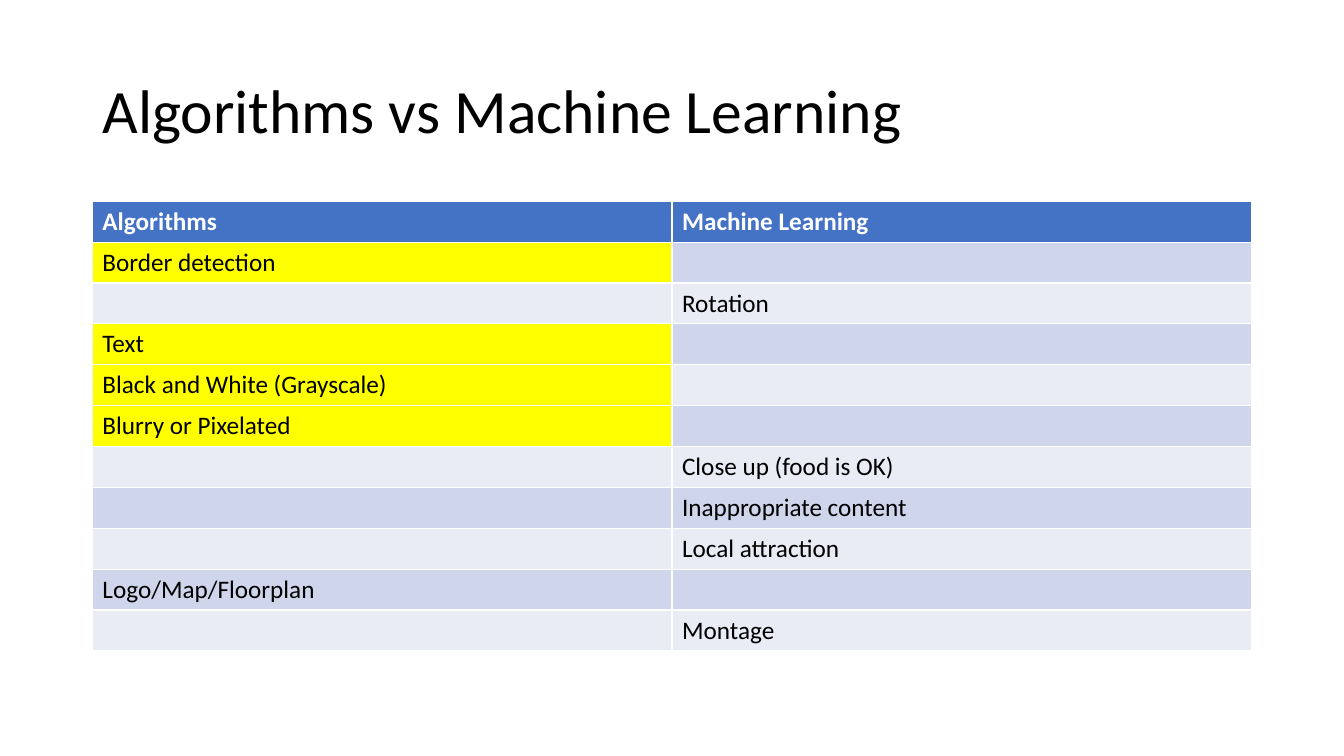
import dataclasses

import pptx
import pptx.dml.color
import pptx.enum.text
import pptx.util


@dataclasses.dataclass(frozen=True)
class Theme:
    font: str = "Calibri"
    title_size: int = 44
    table_size: int = 18
    text: str = "000000"
    header_text: str = "FFFFFF"
    header_fill: str = "4472C4"
    bands: tuple = ("CFD5EA", "E9EBF5")
    highlight: str = "FFFF00"


class SlideBuilder:
    def __init__(self, slide, theme):
        self.slide = slide
        self.theme = theme

    def format_runs(self, paragraph, size, color, bold=False):
        for run in paragraph.runs:
            run.font.name = self.theme.font
            run.font.size = pptx.util.Pt(size)
            run.font.bold = bold
            run.font.color.rgb = pptx.dml.color.RGBColor.from_string(color)

    def add_title(self, text, left, top, width, height):
        title = self.slide.shapes.title
        title.left, title.top = pptx.util.Pt(left), pptx.util.Pt(top)
        title.width, title.height = pptx.util.Pt(width), pptx.util.Pt(height)
        text_frame = title.text_frame
        text_frame.text = text
        text_frame.auto_size = pptx.enum.text.MSO_AUTO_SIZE.NONE
        text_frame.vertical_anchor = pptx.enum.text.MSO_ANCHOR.MIDDLE
        paragraph = text_frame.paragraphs[0]
        paragraph.alignment = pptx.enum.text.PP_ALIGN.LEFT
        paragraph.line_spacing = 0.9
        self.format_runs(paragraph, self.theme.title_size, self.theme.text)

    def fill_cell(self, cell, text, fill, color, bold=False):
        cell.fill.solid()
        cell.fill.fore_color.rgb = pptx.dml.color.RGBColor.from_string(fill)
        if text:
            cell.text_frame.text = text
            paragraph = cell.text_frame.paragraphs[0]
            self.format_runs(paragraph, self.theme.table_size, color, bold)

    def add_table(self, header, rows, highlighted, left, top, width, row_height):
        row_count = len(rows) + 1
        table = self.slide.shapes.add_table(
            row_count, len(header),
            pptx.util.Pt(left), pptx.util.Pt(top),
            pptx.util.Pt(width), pptx.util.Pt(row_height * row_count),
        ).table
        for row in table.rows:
            row.height = pptx.util.Pt(row_height)
        theme = self.theme
        for column, text in enumerate(header):
            self.fill_cell(table.cell(0, column), text,
                           theme.header_fill, theme.header_text, bold=True)
        for index, row in enumerate(rows):
            band = theme.bands[index % len(theme.bands)]
            for column, text in enumerate(row):
                fill = theme.highlight if text in highlighted else band
                self.fill_cell(table.cell(index + 1, column), text, fill, theme.text)


HEADER = ("Algorithms", "Machine Learning")
TOPICS = (
    ("Border detection", ""),
    ("", "Rotation"),
    ("Text", ""),
    ("Black and White (Grayscale)", ""),
    ("Blurry or Pixelated", ""),
    ("", "Close up (food is OK)"),
    ("", "Inappropriate content"),
    ("", "Local attraction"),
    ("Logo/Map/Floorplan", ""),
    ("", "Montage"),
)
HIGHLIGHTED = {
    "Border detection", "Text", "Black and White (Grayscale)", "Blurry or Pixelated",
}


def main():
    presentation = pptx.Presentation()
    presentation.slide_width = pptx.util.Pt(960)
    presentation.slide_height = pptx.util.Pt(540)
    slide = presentation.slides.add_slide(presentation.slide_layouts[5])
    builder = SlideBuilder(slide, Theme())
    builder.add_title("Algorithms vs Machine Learning", 66, 28.75, 828, 104.4)
    builder.add_table(HEADER, TOPICS, HIGHLIGHTED, 66, 143.75, 828, 29.2)
    presentation.save("out.pptx")


if __name__ == "__main__":
    main()
